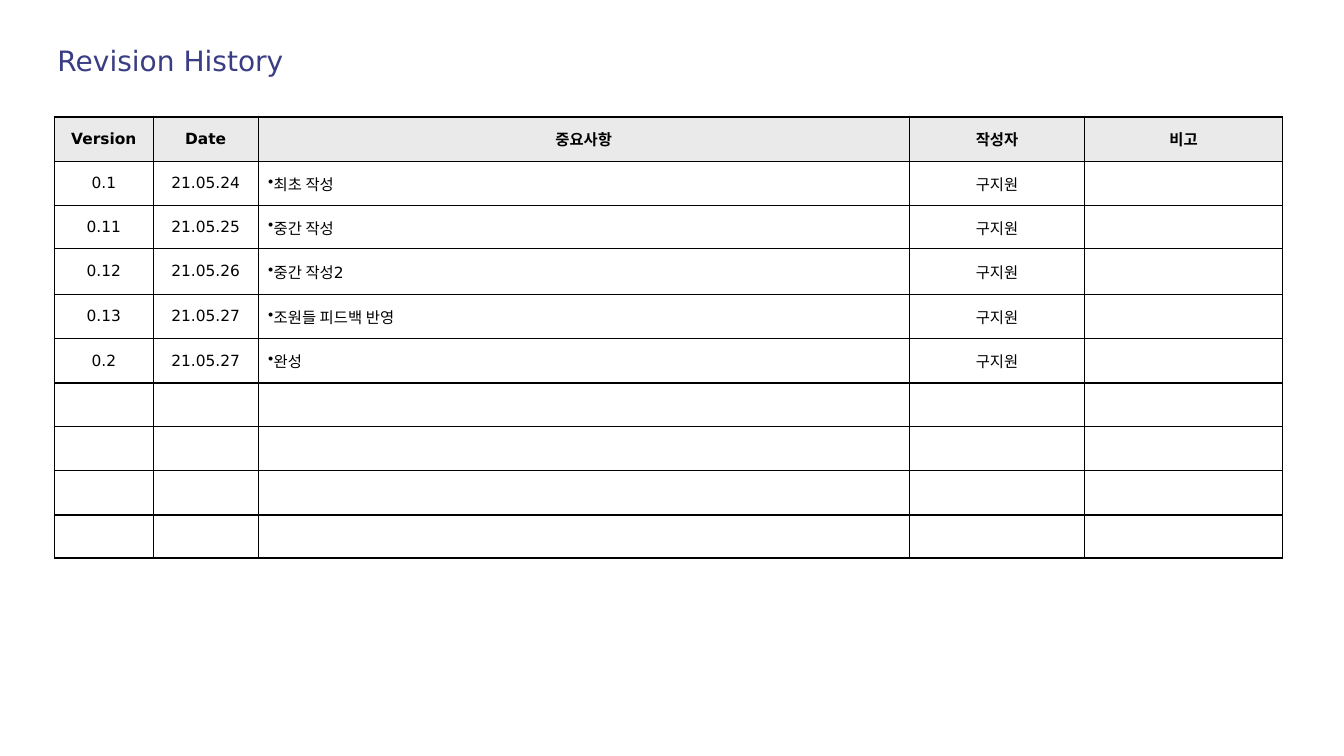
from lxml.etree import SubElement
from pptx import Presentation
from pptx.dml.color import RGBColor
from pptx.enum.text import MSO_ANCHOR as ANCHOR, PP_ALIGN as ALIGN
from pptx.oxml.ns import qn
from pptx.util import Pt

PX = 9144  # 100 px to the inch
FONT = "DejaVu Sans"
NAVY = RGBColor(0x3A, 0x3C, 0x84)
BLACK = RGBColor(0, 0, 0)
GRAY = RGBColor(0xEA, 0xEA, 0xEA)

COL_WIDTHS = [98, 104, 646, 174, 196]
ROW_HEIGHTS = [44, 44, 43, 45, 44, 44, 43, 44, 44, 43]
NOTE_COL = 2
HEADER = ["Version", "Date", "중요사항", "작성자", "비고"]
AUTHOR = "구지원"
REVISIONS = [
    ("0.1", "21.05.24", "최초 작성"),
    ("0.11", "21.05.25", "중간 작성"),
    ("0.12", "21.05.26", "중간 작성2"),
    ("0.13", "21.05.27", "조원들 피드백 반영"),
    ("0.2", "21.05.27", "완성"),
]


def px(n):
    return n * PX


def write(tf, text, size=11, color=BLACK, bold=False, align=ALIGN.CENTER, bullet=False):
    p = tf.paragraphs[0]
    p.alignment = align
    if bullet:
        SubElement(p._p.get_or_add_pPr(), qn("a:buChar"), char="•")
    r = p.add_run()
    r.text = text
    r.font.name, r.font.size, r.font.bold = FONT, Pt(size), bold
    r.font.color.rgb = color


def set_border(cell, side, width):
    ln = SubElement(cell._tc.get_or_add_tcPr(), qn(f"a:ln{side}"), w=str(Pt(width)))
    fill = SubElement(ln, qn("a:solidFill"))
    SubElement(fill, qn("a:srgbClr"), val=str(BLACK))


def add_title(slide, text):
    sp = slide.shapes.title
    sp.left, sp.top, sp.width, sp.height = px(53), px(34), px(383), px(51)
    tf = sp.text_frame
    tf.margin_left, tf.margin_top, tf.margin_right, tf.margin_bottom = px(4), 0, 0, 0
    tf.vertical_anchor = ANCHOR.MIDDLE
    write(tf, text, size=20, color=NAVY, align=ALIGN.LEFT)


def format_cell(cell, row, col):
    # Thicker lines on the outer edge; borders go before the fill
    outer = {
        "L": col == 0,
        "R": col == len(COL_WIDTHS) - 1,
        "T": row == 0,
        "B": row == len(ROW_HEIGHTS) - 1,
    }
    for side, is_outer in outer.items():
        set_border(cell, side, 1.5 if is_outer else 1)
    if row == 0:
        cell.fill.solid()
        cell.fill.fore_color.rgb = GRAY
    else:
        cell.fill.background()
    cell.vertical_anchor = ANCHOR.MIDDLE


def add_history_table(slide, left, top):
    table = slide.shapes.add_table(
        len(ROW_HEIGHTS), len(COL_WIDTHS), px(left), px(top),
        px(sum(COL_WIDTHS)), px(sum(ROW_HEIGHTS))).table
    table.horz_banding = False
    for column, width in zip(table.columns, COL_WIDTHS):
        column.width = px(width)
    for row, height in zip(table.rows, ROW_HEIGHTS):
        row.height = px(height)

    # Borders and fills
    for i in range(len(ROW_HEIGHTS)):
        for j in range(len(COL_WIDTHS)):
            format_cell(table.cell(i, j), i, j)

    # Header and revisions
    for i, texts in enumerate([HEADER] + [(*rev, AUTHOR) for rev in REVISIONS]):
        for j, text in enumerate(texts):
            is_note = i > 0 and j == NOTE_COL
            write(table.cell(i, j).text_frame, text, bold=i == 0, bullet=is_note,
                  align=ALIGN.LEFT if is_note else ALIGN.CENTER)


def main():
    prs = Presentation()
    prs.slide_width, prs.slide_height = px(1333), px(750)
    slide = prs.slides.add_slide(prs.slide_layouts[5])  # Title Only
    add_title(slide, "Revision History")
    add_history_table(slide, 54, 116)
    prs.save("out.pptx")


if __name__ == "__main__":
    main()
